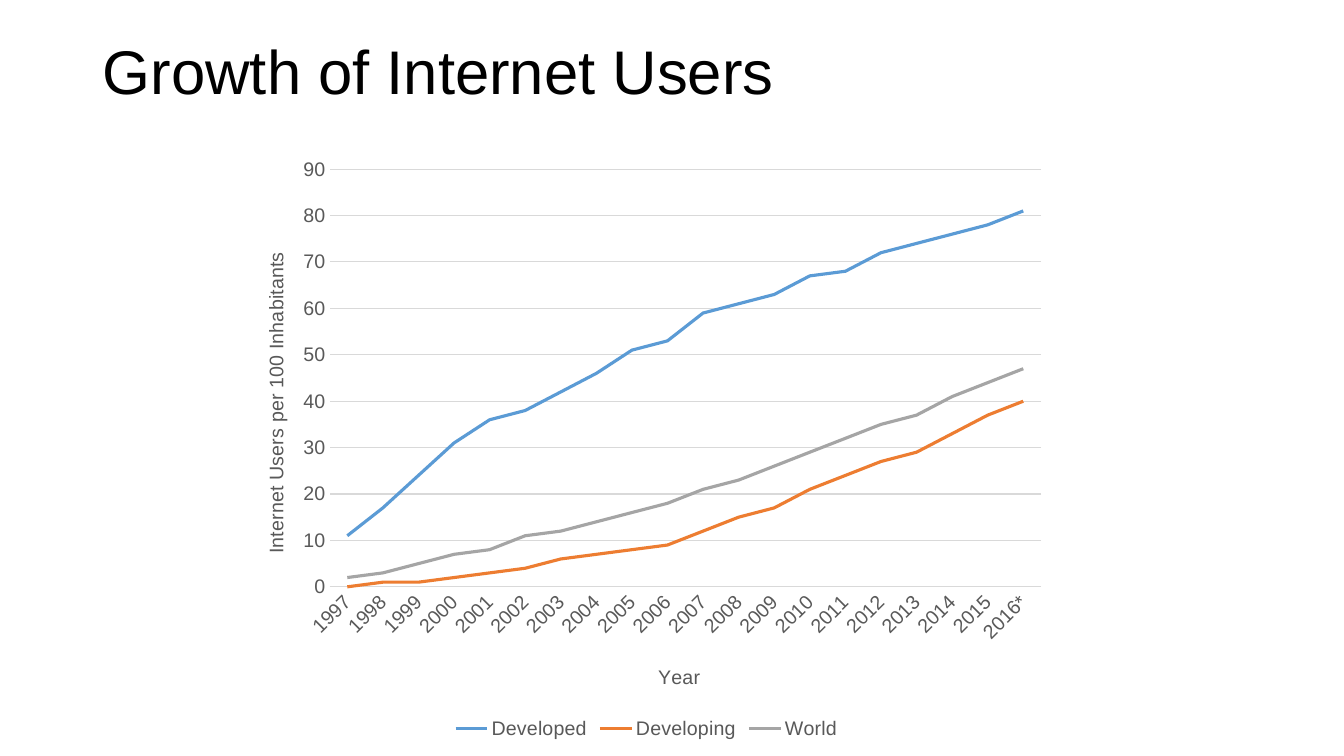
"""Build a slide with a line chart of internet users per 100 inhabitants."""
import lxml.etree
import pptx
import pptx.chart.data
import pptx.dml.color
import pptx.enum.chart
import pptx.enum.text
import pptx.util
from pptx.util import Inches

FONT = "Arial"
GREY = "595959"
GRID = "D9D9D9"
YEARS = [str(year) for year in range(1997, 2016)] + ["2016*"]
SERIES = [
    ("Developed", "5B9BD5",
     [11, 17, 24, 31, 36, 38, 42, 46, 51, 53, 59, 61, 63, 67, 68, 72, 74, 76, 78, 81]),
    ("Developing", "ED7D31",
     [0, 1, 1, 2, 3, 4, 6, 7, 8, 9, 12, 15, 17, 21, 24, 27, 29, 33, 37, 40]),
    ("World", "A5A5A5",
     [2, 3, 5, 7, 8, 11, 12, 14, 16, 18, 21, 23, 26, 29, 32, 35, 37, 41, 44, 47]),
]


def rgb(value):
    return pptx.dml.color.RGBColor.from_string(value)


def style_font(font, size, color):
    font.name = FONT
    font.size = pptx.util.Pt(size)
    font.bold = False
    font.color.rgb = rgb(color)


def style_line(line, color, width):
    line.color.rgb = rgb(color)
    line.width = pptx.util.Pt(width)


def place(parent, position, **settings):
    namespace = "{http://schemas.openxmlformats.org/drawingml/2006/chart}"
    layout = parent.find(namespace + "layout")
    if layout is None:
        layout = lxml.etree.Element(namespace + "layout")
        parent.insert(position, layout)
    manual = lxml.etree.SubElement(layout, namespace + "manualLayout")
    for name, value in settings.items():
        lxml.etree.SubElement(manual, namespace + name).set("val", str(value))


def add_title(slide, text):
    title = slide.shapes.title
    title.left, title.top = Inches(0.92), Inches(0.01)
    title.width, title.height = Inches(11.5), Inches(1.45)
    frame = title.text_frame
    frame.text = text
    frame.vertical_anchor = pptx.enum.text.MSO_ANCHOR.MIDDLE
    para = frame.paragraphs[0]
    para.alignment = pptx.enum.text.PP_ALIGN.LEFT
    para.line_spacing = 0.9
    style_font(para.font, 44, "000000")


def style_axis(axis, text, rotation, left, top):
    axis.major_tick_mark = pptx.enum.chart.XL_TICK_MARK.NONE
    axis.minor_tick_mark = pptx.enum.chart.XL_TICK_MARK.NONE
    style_font(axis.tick_labels.font, 14, GREY)
    frame = axis.axis_title.text_frame
    frame.text = text
    frame._txBody.bodyPr.set("rot", str(rotation * 60000))
    style_font(frame.paragraphs[0].font, 14, GREY)
    place(axis.axis_title._element, 1, xMode="edge", yMode="edge", x=left, y=top)


def add_line_chart(slide):
    data = pptx.chart.data.CategoryChartData()
    data.categories = YEARS
    for name, _, values in SERIES:
        data.add_series(name, values)
    chart = slide.shapes.add_chart(
        pptx.enum.chart.XL_CHART_TYPE.LINE, Inches(2.33), Inches(1.46),
        Inches(8.16), Inches(5.92), data).chart
    chart.has_title = False
    style_font(chart.font, 14, GREY)
    chart.plots[0].vary_by_categories = False
    for series, (_, color, _) in zip(chart.plots[0].series, SERIES):
        series.smooth = False
        series.marker.style = pptx.enum.chart.XL_MARKER_STYLE.NONE
        style_line(series.format.line, color, 2.25)

    years, users = chart.category_axis, chart.value_axis
    style_axis(years, "Year", 0, 0.51, 0.86)
    style_line(years.format.line, GRID, 0.75)
    years._element.txPr.bodyPr.set("rot", str(-45 * 60000))
    style_axis(users, "Internet Users per 100 Inhabitants", -90, 0.03, 0.17)
    users.format.line.fill.background()
    users.minimum_scale, users.maximum_scale, users.major_unit = 0, 90, 10
    style_line(users.major_gridlines.format.line, GRID, 0.75)

    chart.has_legend = True
    chart.legend.position = pptx.enum.chart.XL_LEGEND_POSITION.BOTTOM
    chart.legend.include_in_layout = False
    style_font(chart.legend.font, 14, GREY)
    place(chart._chartSpace.chart.plotArea, 0, layoutTarget="inner", xMode="edge",
          yMode="edge", x=0.115, y=0.037, w=0.865, h=0.7)


def main():
    deck = pptx.Presentation()
    deck.slide_width, deck.slide_height = Inches(13.33), Inches(7.5)
    slide = deck.slides.add_slide(deck.slide_layouts[5])
    add_title(slide, "Growth of Internet Users")
    add_line_chart(slide)
    deck.save("out.pptx")


if __name__ == "__main__":
    main()
